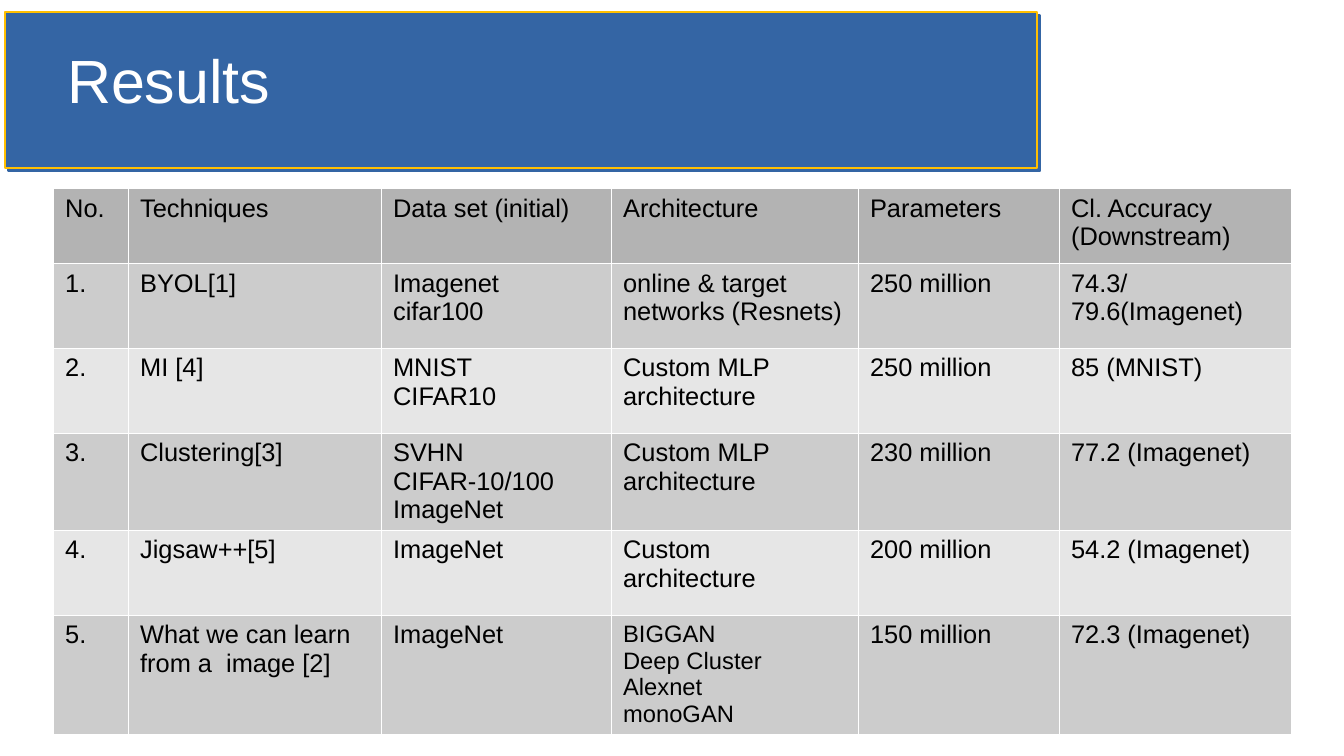
from lxml import etree
from pptx import Presentation
from pptx.dml.color import RGBColor
from pptx.enum.shapes import MSO_SHAPE
from pptx.enum.text import MSO_ANCHOR, MSO_AUTO_SIZE, PP_ALIGN
from pptx.oxml.ns import qn
from pptx.util import Emu, Pt

RECTANGLE = MSO_SHAPE.RECTANGLE
MIDDLE = MSO_ANCHOR.MIDDLE
NO_AUTOFIT = MSO_AUTO_SIZE.NONE
LEFT = PP_ALIGN.LEFT

PIXELS_PER_INCH = 122
TITLE_ONLY = 5
FONT = "Arial"
BLUE, GOLD, WHITE, BLACK = "3465A4", "FFBF00", "FFFFFF", "000000"
HEADER_FILL, BAND_FILLS = "B3B3B3", ("CCCCCC", "E6E6E6")

COLUMN_WIDTHS = (75, 253, 230, 247, 201, 232)
HEADER_HEIGHT, ROW_HEIGHT = 75, 85
TEXT_SIZE, SMALL_SIZE = 15, 14
SMALL_CELL = (5, 3)
RESULTS = (
    ("No.", "Techniques", "Data set (initial)", "Architecture",
     "Parameters", "Cl. Accuracy (Downstream)"),
    ("1.", "BYOL[1]", "Imagenet\ncifar100",
     "online & target networks (Resnets)", "250 million",
     "74.3/ 79.6(Imagenet)"),
    ("2.", "MI [4]", "MNIST\nCIFAR10", "Custom MLP architecture",
     "250 million", "85 (MNIST)"),
    ("3.", "Clustering[3]", "SVHN\nCIFAR-10/100\nImageNet",
     "Custom MLP architecture", "230 million", "77.2 (Imagenet)"),
    ("4.", "Jigsaw++[5]", "ImageNet", "Custom architecture",
     "200 million", "54.2 (Imagenet)"),
    ("5.", "What we can learn from a  image [2]", "ImageNet",
     "BIGGAN\nDeep Cluster\nAlexnet\nmonoGAN", "150 million",
     "72.3 (Imagenet)"),
)


def px(pixels):
    return Emu(round(pixels * 914400 / PIXELS_PER_INCH))


def color(hex_string):
    return RGBColor.from_string(hex_string)


def add_color(parent, hex_string):
    etree.SubElement(parent, qn("a:srgbClr"), val=hex_string)


def format_text(text_frame, size, hex_string):
    for paragraph in text_frame.paragraphs:
        paragraph.alignment = LEFT
        for run in paragraph.runs:
            run.font.name = FONT
            run.font.size = Pt(size)
            run.font.color.rgb = color(hex_string)


def add_banner(slide, left, top, width, height):
    banner = slide.shapes.add_shape(
        RECTANGLE, px(left), px(top), px(width), px(height))
    banner.fill.solid()
    banner.fill.fore_color.rgb = color(BLUE)
    banner.line.color.rgb = color(GOLD)
    banner.line.width = Pt(1.42)
    # Hard-edged shadow to the lower right
    banner.shadow.inherit = False
    effects = banner._element.spPr.find(qn("a:effectLst"))
    shadow = etree.SubElement(
        effects, qn("a:outerShdw"), blurRad="0", dist=str(Pt(2.8)),
        dir=str(45 * 60000), algn="tl", rotWithShape="0")
    add_color(shadow, BLUE)
    # Send the banner behind the title
    slide.shapes._spTree.insert(2, banner._element)


def set_title(slide, text, left, top, width, height):
    title = slide.shapes.title
    title.left, title.top = px(left), px(top)
    title.width, title.height = px(width), px(height)
    frame = title.text_frame
    frame.text = text
    frame.auto_size = NO_AUTOFIT
    frame.vertical_anchor = MIDDLE
    frame.margin_left = frame.margin_right = 0
    frame.margin_top = frame.margin_bottom = 0
    format_text(frame, 36, WHITE)


def set_borders(cell):
    properties = cell._tc.get_or_add_tcPr()
    for index, side in enumerate(("lnL", "lnR", "lnT", "lnB")):
        line = etree.Element(qn("a:" + side), w=str(Pt(0.06)))
        add_color(etree.SubElement(line, qn("a:solidFill")), WHITE)
        properties.insert(index, line)


def fill_cell(cell, text, size, fill):
    cell.text_frame.text = text
    format_text(cell.text_frame, size, BLACK)
    cell.fill.solid()
    cell.fill.fore_color.rgb = color(fill)
    set_borders(cell)


def add_results_table(slide, left, top):
    heights = [HEADER_HEIGHT] + [ROW_HEIGHT] * (len(RESULTS) - 1)
    table = slide.shapes.add_table(
        len(RESULTS), len(COLUMN_WIDTHS), px(left), px(top),
        px(sum(COLUMN_WIDTHS)), px(sum(heights))).table
    table.first_row = table.horz_banding = False
    for column, width in zip(table.columns, COLUMN_WIDTHS):
        column.width = px(width)
    for row_index, values in enumerate(RESULTS):
        table.rows[row_index].height = px(heights[row_index])
        fill = BAND_FILLS[(row_index - 1) % 2] if row_index else HEADER_FILL
        for column_index, text in enumerate(values):
            position = (row_index, column_index)
            size = SMALL_SIZE if position == SMALL_CELL else TEXT_SIZE
            fill_cell(table.cell(*position), text, size, fill)


def main():
    presentation = Presentation()
    presentation.slide_width = px(1344)
    presentation.slide_height = px(756)
    slide = presentation.slides.add_slide(
        presentation.slide_layouts[TITLE_ONLY])

    # Title on its banner
    add_banner(slide, 5, 12, 1032, 156)
    set_title(slide, "Results", 67, 37, 937, 85)

    # Comparison of techniques
    add_results_table(slide, 53, 188)

    presentation.save("out.pptx")


main()
